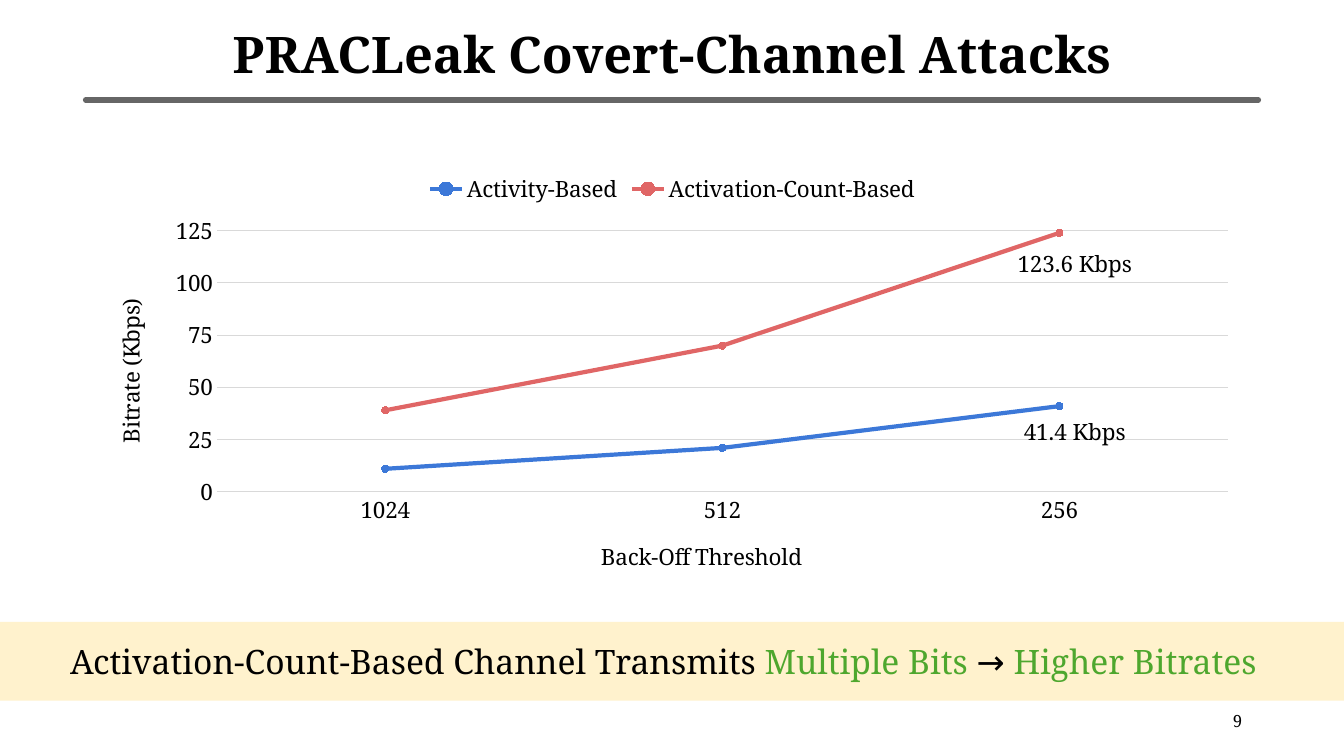
from lxml import etree
from pptx import Presentation
from pptx import util as u
from pptx.chart.data import CategoryChartData
from pptx.dml.color import RGBColor
from pptx.enum import chart as ch, shapes, text
from pptx.oxml import parse_xml
from pptx.oxml.ns import nsdecls, qn

FONT = "Noto Serif"
BLACK, GREEN, GRID = "000000", "4EA72E", "D9D9D9"
WIDE, HIGH = 11.5, 4.29  # chart size in inches
color = RGBColor.from_string
mid = text.PP_ALIGN.CENTER


def style(font, size):
    font.name, font.size = FONT, u.Pt(size)
    font.color.rgb = color(BLACK)


def place(node, index, x, y, w=None, h=None):
    """Lay out a chart part by hand, in inches from the chart's corner."""
    for old in node.findall(qn("c:layout")):
        node.remove(old)
    spots = {"xMode": "edge", "yMode": "edge", "x": x / WIDE, "y": y / HIGH}
    if w:
        spots = {"layoutTarget": "inner", **spots, "w": w / WIDE, "h": h / HIGH}
    tags = "".join(f'<c:{k} val="{v}"/>' for k, v in spots.items())
    node.insert(index, parse_xml(
        f'<c:layout {nsdecls("c")}><c:manualLayout>{tags}</c:manualLayout></c:layout>'))


prs = Presentation()
prs.slide_width, prs.slide_height = u.Inches(13.33), u.Inches(7.5)
slide = prs.slides.add_slide(prs.slide_layouts[6])

# Rule under the title
rule = slide.shapes.add_connector(
    shapes.MSO_CONNECTOR.STRAIGHT,
    u.Inches(0.85), u.Inches(0.99), u.Inches(12.48), u.Inches(0.99))
rule.line.color.rgb = color("666666")
rule.line.width = u.Pt(4)
rule.line._get_or_add_ln().set("cap", "rnd")
etree.SubElement(rule._element.spPr, qn("a:effectLst"))

# Chart
data = CategoryChartData()
data.categories = ["1024", "512", "256"]
data.add_series("Activity-Based", [11, 21, 41])
data.add_series("Activation-Count-Based", [39, 70, 124])
chart = slide.shapes.add_chart(
    ch.XL_CHART_TYPE.LINE_MARKERS, u.Inches(0.92), u.Inches(1.61),
    u.Inches(WIDE), u.Inches(HIGH), data).chart
style(chart.font, 16)
chart.has_title = False
chart.has_legend = True
chart.legend.position = ch.XL_LEGEND_POSITION.TOP
chart.legend.include_in_layout = False
style(chart.legend.font, 16)
plot = chart.plots[0]
plot.vary_by_categories = False
for line, hue in zip(plot.series, ["3C78D8", "E06666"]):
    line.smooth = False
    line.format.line.color.rgb = color(hue)
    line.format.line.width = u.Pt(3)
    mark = line.marker
    mark.style, mark.size = ch.XL_MARKER_STYLE.CIRCLE, 5
    mark.format.fill.solid()
    mark.format.fill.fore_color.rgb = color(hue)
    mark.format.line.color.rgb = color(hue)

cat, val = chart.category_axis, chart.value_axis
for axis, name, x, y in [(cat, "Back-Off Threshold", 5, 3.7),
                         (val, "Bitrate (Kbps)", 0.17, 1.31)]:
    axis.major_tick_mark = axis.minor_tick_mark = ch.XL_TICK_MARK.NONE
    style(axis.tick_labels.font, 16)
    title = axis.axis_title
    para = title.text_frame.paragraphs[0]
    para.text = name
    style(para.font, 16)
    para.font.bold = False
    place(title._element, 1, x, y)
val.minimum_scale, val.maximum_scale, val.major_unit = 0, 125, 25
val.format.line.fill.background()
for line in (cat.format.line, val.major_gridlines.format.line):
    line.color.rgb = color(GRID)
    line.width = u.Pt(0.75)
place(chart._chartSpace.chart.plotArea, 0, 1.23, 0.68, 10.03, 2.59)

# Takeaway band
band = slide.shapes.add_shape(
    shapes.MSO_SHAPE.RECTANGLE, 0, u.Inches(6.17), u.Inches(13.33), u.Inches(0.78))
band.shadow.inherit = False
band.fill.solid()
band.fill.fore_color.rgb = color("FFF2CD")
band.line.fill.background()
frame = band.text_frame
frame.vertical_anchor = text.MSO_ANCHOR.MIDDLE
frame.margin_right = u.Inches(0.27)
para = frame.paragraphs[0]
para.alignment = mid
style(para.font, 24)
for words, hue in [("Activation-Count-Based Channel Transmits ", BLACK),
                   ("Multiple Bits ", GREEN), ("→ ", BLACK),
                   ("Higher Bitrates", GREEN)]:
    run = para.add_run()
    run.text = words
    run.font.color.rgb = color(hue)

# Title, page number and value labels
middle, top = text.MSO_ANCHOR.MIDDLE, text.MSO_ANCHOR.TOP
for words, x, y, w, h, size, align, anchor in [
        ("PRACLeak Covert-Channel Attacks", 0, 0.15, 13.33, 0.84, 36, mid, middle),
        ("9", 9.42, 6.95, 3, 0.4, 12, text.PP_ALIGN.RIGHT, middle),
        ("123.6 Kbps", 9.9, 2.43, 1.52, 0.37, 16, mid, top),
        ("41.4 Kbps", 9.9, 4.1, 1.52, 0.37, 16, mid, top)]:
    box = slide.shapes.add_textbox(*map(u.Inches, (x, y, w, h)))
    frame = box.text_frame
    frame.word_wrap = True
    frame.vertical_anchor = anchor
    para = frame.paragraphs[0]
    para.text, para.alignment = words, align
    style(para.font, size)
    if size == 36:
        para.font.bold = True
        para.line_spacing = 0.9

prs.save("out.pptx")
